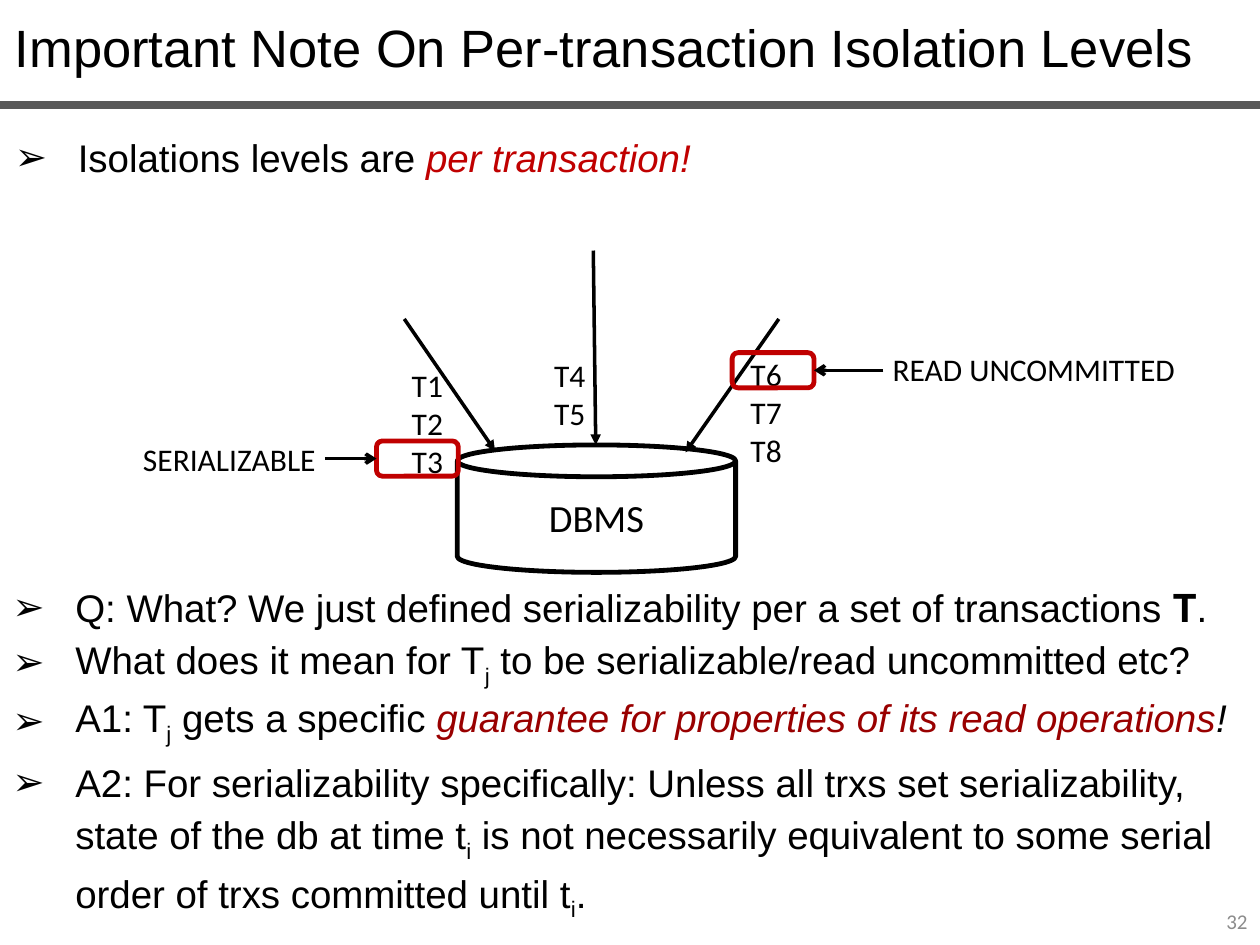
"""Build a slide on per-transaction isolation levels with a DBMS diagram."""
from lxml import etree
from pptx import Presentation
from pptx.dml.color import RGBColor
from pptx.enum.shapes import MSO_CONNECTOR, MSO_SHAPE
from pptx.enum.text import MSO_ANCHOR, PP_ALIGN
from pptx.oxml.ns import qn
from pptx.util import Cm, Pt

STRAIGHT = MSO_CONNECTOR.STRAIGHT
CAN, ROUNDED = MSO_SHAPE.CAN, MSO_SHAPE.ROUNDED_RECTANGLE
LEFT, CENTER, RIGHT = PP_ALIGN.LEFT, PP_ALIGN.CENTER, PP_ALIGN.RIGHT
MIDDLE = MSO_ANCHOR.MIDDLE

BLACK = RGBColor(0x00, 0x00, 0x00)
DARK_GRAY = RGBColor(0x59, 0x59, 0x59)
GRAY = RGBColor(0x8C, 0x8C, 0x8C)
RED = RGBColor(0xC0, 0x00, 0x00)
DARK_RED = RGBColor(0x99, 0x00, 0x00)

PLAIN, SUBSCRIPT = "plain", "subscript"

presentation = Presentation()
presentation.slide_width, presentation.slide_height = Cm(25.4), Cm(19.05)
slide = presentation.slides.add_slide(presentation.slide_layouts[6])


def add_text(box, paragraphs, size, font="Calibri", color=BLACK, align=LEFT, spacing=None):
    shape = slide.shapes.add_textbox(*[Cm(length) for length in box])
    frame = shape.text_frame
    frame.word_wrap = True
    for index, runs in enumerate(paragraphs):
        paragraph = frame.paragraphs[0] if index == 0 else frame.add_paragraph()
        paragraph.alignment = align
        if spacing:
            paragraph.line_spacing = spacing
            properties = paragraph._p.get_or_add_pPr()
            properties.set("marL", str(Cm(1.27)))
            properties.set("indent", str(Cm(-1.27)))
            etree.SubElement(properties, qn("a:buFont"), typeface="Arial")
            etree.SubElement(properties, qn("a:buChar"), char="➢")
        paragraph.font.size, paragraph.font.name = Pt(size), font
        paragraph.font.color.rgb = color
        for text, style in runs:
            run = paragraph.add_run()
            run.text = text
            if style == SUBSCRIPT:
                run._r.get_or_add_rPr().set("baseline", "-25000")
            elif style != PLAIN:
                run.font.italic = True
                run.font.color.rgb = style
    return shape


def add_line(start_x, start_y, end_x, end_y, color=BLACK, width=2, head=None):
    line = slide.shapes.add_connector(STRAIGHT, Cm(start_x), Cm(start_y), Cm(end_x), Cm(end_y))
    line.line.color.rgb, line.line.width = color, Pt(width)
    if head:
        etree.SubElement(line.line._get_or_add_ln(), qn("a:tailEnd"), type=head)
    etree.SubElement(line._element.spPr, qn("a:effectLst"))
    return line


add_text((0.05, 0.18, 25.35, 1.55),
         [[("Important Note\u00a0On Per-transaction Isolation Levels", PLAIN)]], 30, "Arial")
add_line(0, 2.11, 25.4, 2.11, DARK_GRAY, 4.5)
number = add_text((19.48, 18.06, 5.92, 1.02), [[("32", PLAIN)]], 12, color=GRAY, align=RIGHT)
number.text_frame.vertical_anchor = MIDDLE
add_text((0.05, 2.11, 25.4, 1.5),
         [[("Isolations levels are ", PLAIN), ("per transaction!", RED)]],
         22, "Arial", spacing=1.5)

for ends in [(8.15, 6.43, 9.98, 9.09), (11.96, 5.05, 12.01, 8.97), (15.7, 6.43, 13.82, 9.12)]:
    add_line(*ends, head="triangle")

database = slide.shapes.add_shape(CAN, Cm(9.22), Cm(8.97), Cm(5.61), Cm(2.57))
database.shadow.inherit = False
database.fill.background()
database.line.color.rgb, database.line.width = BLACK, Pt(2.75)
database.text_frame.vertical_anchor = MIDDLE
label = database.text_frame.paragraphs[0]
label.text, label.alignment = "DBMS", CENTER
label.font.size, label.font.name = Pt(22), "Calibri"
label.font.color.rgb = BLACK

for left, top, height, names in [
    (14.88, 7.04, 2.57, ["T6", "T7", "T8"]),
    (10.92, 7.06, 1.8, ["T4", "T5"]),
    (8.05, 7.26, 2.57, ["T1", "T2", "T3"]),
]:
    add_text((left, top, 1.32, height), [[(name, PLAIN)] for name in names], 18)

for left, top, arrow_start, side, level, level_box in [
    (14.76, 7.11, 17.81, 3, "READ UNCOMMITTED", (17.68, 6.93, 6.32, 1.02)),
    (7.59, 8.89, 6.55, 1, "SERIALIZABLE", (2.39, 8.74, 4.47, 1.02)),
]:
    highlight = slide.shapes.add_shape(ROUNDED, Cm(left), Cm(top), Cm(1.65), Cm(0.71))
    highlight.shadow.inherit = False
    highlight.fill.background()
    highlight.line.color.rgb, highlight.line.width = RED, Pt(2.75)
    middle = top + 0.71 / 2
    arrow = add_line(arrow_start, middle, left, middle, head="arrow")
    arrow.end_connect(highlight, side)
    add_text(level_box, [[(level, PLAIN)]], 18, align=CENTER)

questions = [
    [("Q: What? We just defined serializability per a set of transactions 𝐓.", PLAIN)],
    [("What does it mean for T", PLAIN), ("j", SUBSCRIPT),
     (" to be serializable/read uncommitted etc?", PLAIN)],
    [("A1: T", PLAIN), ("j", SUBSCRIPT), (" gets a specific ", PLAIN),
     ("guarantee for properties of its read operations", DARK_RED), ("!", BLACK)],
    [("A2: For serializability specifically: Unless all trxs set serializability, "
      "state of the db at time t", PLAIN), ("i", SUBSCRIPT),
     (" is not necessarily equivalent to some serial order of trxs committed until t", PLAIN),
     ("i", SUBSCRIPT), (".", PLAIN)],
]
add_text((0, 11.4, 25.4, 7.19), questions, 22, "Arial", spacing=Pt(33.4))

presentation.save("out.pptx")
